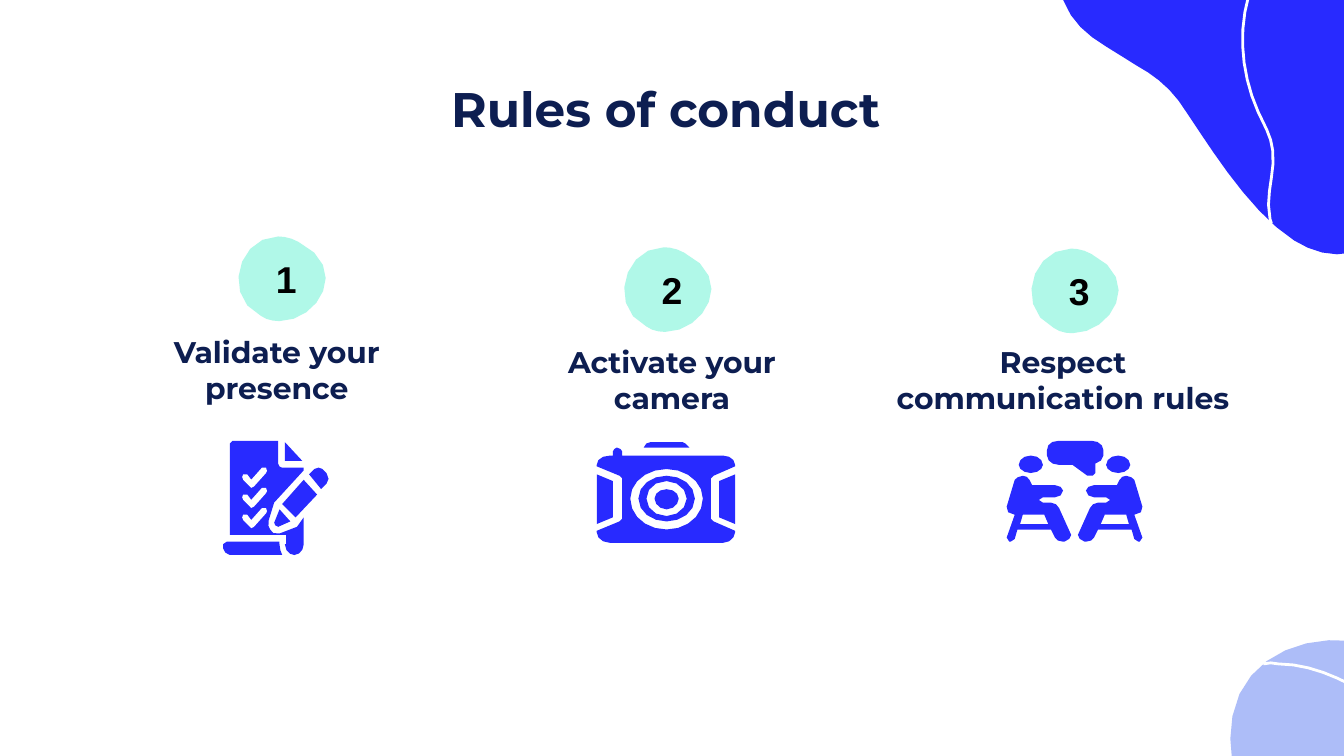
from itertools import pairwise
from math import dist, sqrt

from lxml import etree
from pptx import Presentation
from pptx.dml.color import RGBColor
from pptx.enum.text import MSO_ANCHOR, PP_ALIGN
from pptx.oxml.ns import qn
from pptx.util import Pt

BLUE = RGBColor(0x28, 0x2A, 0xFF)
PALE_BLUE = RGBColor(0xAD, 0xBD, 0xF8)
MINT = RGBColor(0x5A, 0xF1, 0xD1)
NAVY = RGBColor(0x0D, 0x1E, 0x51)
BLACK = RGBColor(0, 0, 0)
WHITE = RGBColor(0xFF, 0xFF, 0xFF)

UNIT = Pt(0.72)  # one step of the outline coordinates
PAIRS = {"M": 1, "L": 1, "C": 3}

prs = Presentation()
prs.slide_width, prs.slide_height = Pt(720), Pt(405)
slide = prs.slides.add_slide(prs.slide_layouts[6])


def draw(outline, fill=None, dx=0, dy=0, mirror=None):
    """Draw M/L/C commands as a filled shape, or as an open white line without fill.

    mirror is the sum of the x values of a point and its reflection.
    """
    tokens = iter(outline.split())
    contours = []
    for command in tokens:
        points = []
        for _ in range(PAIRS[command]):
            x, y = int(next(tokens)), int(next(tokens))
            x = x + dx if mirror is None else mirror - x
            points.append((x * UNIT, (y + dy) * UNIT))
        if command == "M":
            contours.append(points)
        elif command == "L":
            contours[-1] += points
        else:
            controls = [contours[-1][-1], *points]
            length = sum(dist(a, b) for a, b in pairwise(controls)) / UNIT
            steps = round(0.7 * sqrt(length))  # longer curves get more points
            for step in range(1, steps + 1):
                t = step / steps
                weights = ((1 - t) ** 3, 3 * t * (1 - t) ** 2, 3 * t * t * (1 - t), t ** 3)
                contours[-1].append(tuple(
                    sum(w * p[axis] for w, p in zip(weights, controls)) for axis in (0, 1)))
    builder = slide.shapes.build_freeform(*contours[0][0])
    builder.add_line_segments(contours[0][1:], close=fill is not None)
    for contour in contours[1:]:
        builder.move_to(*contour[0])
        builder.add_line_segments(contour[1:], close=True)
    shape = builder.convert_to_shape()
    shape.shadow.inherit = False
    if fill is None:
        shape.fill.background()
        shape.line.color.rgb = WHITE
        shape.line.width = Pt(1.5)
    else:
        shape.fill.solid()
        shape.fill.fore_color.rgb = fill
        shape.line.fill.background()
    return shape


def write(shape, text, font, size, color, anchor):
    frame = shape.text_frame
    frame.word_wrap = True
    frame.vertical_anchor = anchor
    frame.margin_left = frame.margin_right = Pt(7.2)
    frame.margin_top = frame.margin_bottom = Pt(7.2)
    paragraph = frame.paragraphs[0]
    paragraph.text = text
    paragraph.alignment = PP_ALIGN.CENTER
    paragraph.font.name = font
    paragraph.font.size = Pt(size)
    paragraph.font.bold = True
    paragraph.font.color.rgb = color


# Corner decorations
draw("M 963 179 C 990 196 1021 195 1053 152 L 1053 -49 L 788 -49 C 781 1 799 20 822 34 "
     "C 830 39 838 44 846 49 C 857 55 868 63 877 75 C 896 102 927 156 963 179", BLUE)
draw("M 929 -3 C 921 25 924 56 936 83 C 940 92 946 101 947 112 "
     "C 949 129 941 145 945 163 C 945 164 946 165 946 166")
draw("M 957 606 L 1054 606 L 1054 495 C 1007 461 928 473 917 533 "
     "C 911 570 923 584 940 595 C 945 598 951 602 957 606", PALE_BLUE)
draw("M 940 494 C 944 493 947 493 951 494 C 974 494 996 504 1015 515")

# Title, numbered badges and rule names
title = slide.shapes.add_textbox(Pt(162), Pt(35.3), Pt(389.5), Pt(79.9))
write(title, "Rules of conduct", "Montserrat", 26, NAVY, MSO_ANCHOR.TOP)

BADGE = ("M 207 176 C 177 176 165 221 194 235 C 198 238 203 239 208 239 "
         "C 237 239 261 199 222 180 C 217 177 211 176 207 176")
rules = [
    ("Validate your presence", 0, 0, 73.4, 184.3, 149.8),
    ("Activate your camera", 287, 8, 285.1, 189.4, 149.8),
    ("Respect communication rules", 590, 9, 468, 189.4, 203),
]
for number, (rule, dx, dy, left, top, width) in enumerate(rules, 1):
    badge = draw(BADGE, MINT, dx, dy)
    color = badge.fill._xPr.find(qn("a:solidFill"))[0]
    etree.SubElement(color, qn("a:alpha"), val="48000")
    write(badge, str(number), "Arial", 20, BLACK, MSO_ANCHOR.MIDDLE)
    badge.text_frame.margin_left, badge.text_frame.margin_right = Pt(4.5), Pt(0)
    name = slide.shapes.add_textbox(Pt(left), Pt(top), Pt(width), Pt(27.4))
    write(name, rule, "Montserrat", 16, NAVY, MSO_ANCHOR.MIDDLE)

# Checklist: sheet, ticks, pencil end, tip and barrel, folded corner, scroll foot
draw("M 173 328 C 172 328 171 329 171 330 L 171 398 L 213 398 L 213 405 L 212 405 "
     "C 212 410 216 413 219 413 C 223 413 226 409 226 405 L 226 385 L 221 392 L 208 397 "
     "C 204 398 202 396 201 394 C 200 393 199 390 200 387 "
     "L 204 374 L 226 350 L 226 348 L 210 348 C 209 348 207 347 207 345 L 207 328", BLUE)
for dy in (0, 15, 30):
    draw("M 196 348 L 198 348 C 199 350 199 351 198 352 L 189 362 L 187 363 L 186 362 "
         "L 181 357 C 180 356 180 354 181 353 L 183 353 L 184 353 L 187 357 L 195 348",
         WHITE, dy=dy)
for part in (
    "M 237 348 C 236 348 234 348 234 349 L 230 353 L 239 364 L 243 360 "
    "C 245 358 245 355 243 352 L 240 349 C 239 348 238 348 237 348",
    "M 208 379 L 204 389 C 204 390 205 392 207 392 L 216 388",
    "M 226 357 L 210 375 L 220 385 L 236 368",
    "M 212 329 L 212 343 L 225 343",
    "M 169 403 C 167 403 166 404 166 405 L 166 408 C 166 410 169 413 171 413 L 210 413 "
    "C 209 411 208 408 208 405 L 208 403",
):
    draw(part, BLUE)

# Camera: side grips, body, lens ring, lens, flash
for mirror in (None, 991):
    draw("M 444 353 L 444 390 L 456 385 L 456 358", BLUE, mirror=mirror)
for part in (
    "M 496 349 C 511 349 523 359 523 371 C 523 384 511 394 496 394 "
    "C 481 394 469 384 469 371 C 469 359 481 349 496 349 "
    "M 459 333 C 458 333 456 335 456 336 L 456 339 L 454 339 C 448 339 444 342 444 346 "
    "L 444 347 L 461 354 C 462 354 463 355 463 356 L 463 386 C 463 387 462 388 461 388 "
    "L 444 395 L 444 396 C 444 400 448 404 454 404 L 538 404 C 543 404 547 400 547 396 "
    "L 547 395 L 531 388 C 530 388 529 387 529 386 L 529 356 C 529 355 530 354 531 354 "
    "L 547 347 L 547 346 C 547 342 543 339 538 339 L 463 339 L 463 336 "
    "C 463 335 461 333 459 333",
    "M 496 358 C 504 358 511 364 511 371 C 511 378 504 384 496 384 "
    "C 487 384 481 378 481 371 C 481 364 487 358 496 358 "
    "M 496 354 C 485 354 475 361 475 371 C 475 381 485 388 496 388 "
    "C 507 388 517 381 517 371 C 517 361 507 354 496 354",
    "M 496 364 C 491 364 487 367 487 371 C 487 375 491 379 496 379 "
    "C 501 379 505 375 505 371 C 505 367 501 364 496 364",
    "M 484 329 C 483 329 482 329 481 330 L 479 333 L 513 333 L 510 330 "
    "C 510 329 509 329 508 329",
):
    draw(part, BLUE)

# Conversation: two facing people and a speech bubble
for mirror in (None, 1599):
    draw("M 767 339 C 762 339 758 342 758 346 C 758 349 762 352 767 352 "
         "C 772 352 776 349 776 346 C 776 342 772 339 767 339", BLUE, mirror=mirror)
    draw("M 777 383 L 780 390 L 759 390 L 761 383 "
         "M 761 354 C 758 354 756 356 755 357 L 749 377 C 748 380 751 383 755 383 L 749 400 "
         "C 749 401 750 402 751 403 L 752 403 C 753 403 754 402 755 401 "
         "L 757 394 L 782 394 L 785 400 C 786 402 788 403 791 403 L 792 403 "
         "C 795 402 797 400 797 398 L 788 378 C 787 376 785 374 782 374 L 776 374 "
         "C 774 374 773 373 773 372 C 773 371 774 370 776 370 L 785 370 "
         "C 788 370 791 368 791 365 C 791 363 788 361 785 361 L 768 361 L 766 357 "
         "C 765 355 763 354 761 354", BLUE, mirror=mirror)
draw("M 788 328 C 782 328 779 331 779 335 L 779 339 C 779 343 783 346 788 346 L 798 346 "
     "L 809 354 L 813 354 C 814 354 815 353 815 352 L 815 345 "
     "C 818 344 821 342 821 339 L 821 335 C 821 331 817 328 812 328", BLUE)

prs.save("out.pptx")
